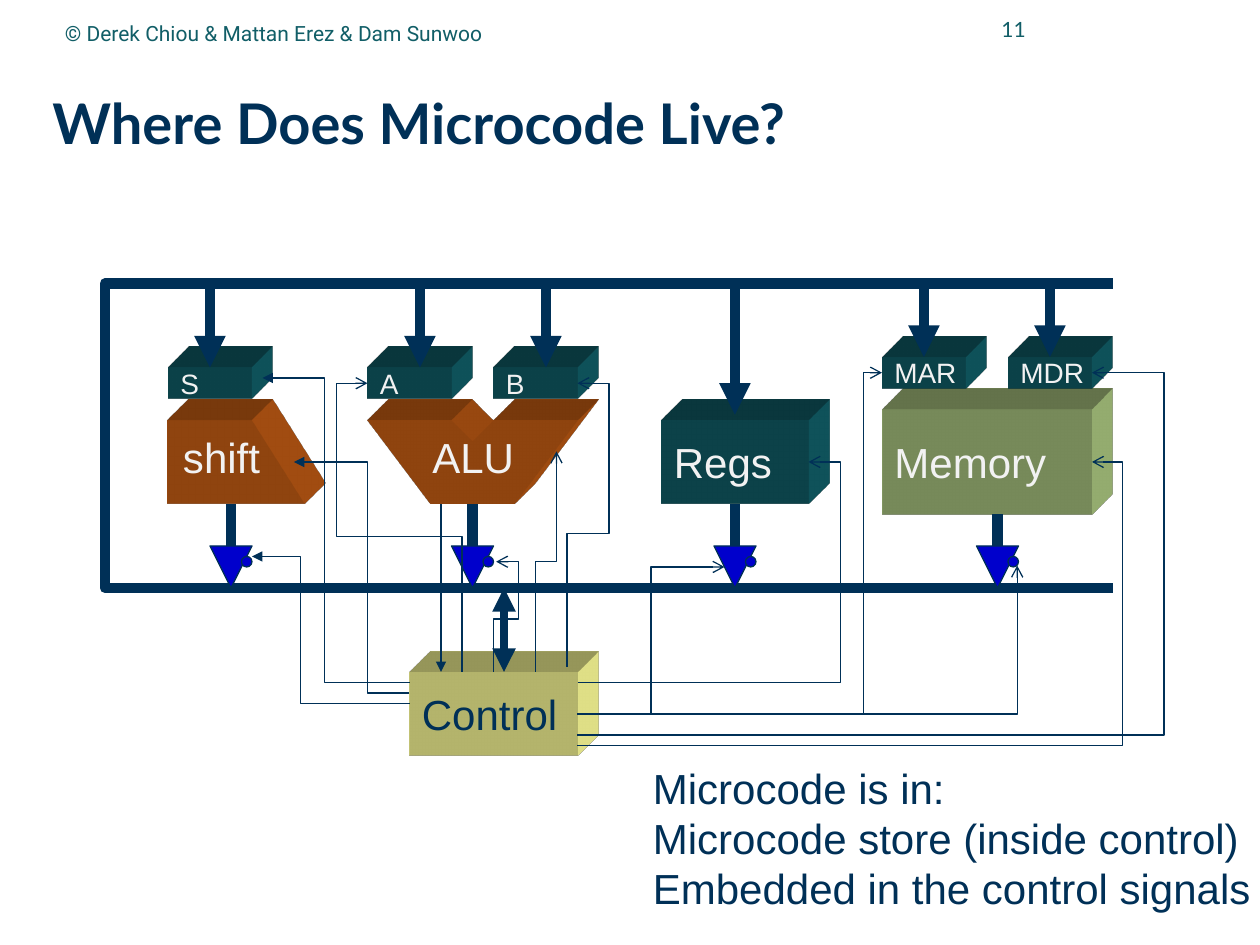
import math
from dataclasses import dataclass
from typing import Any

import pptx
import pptx.dml.color
import pptx.enum.shapes
import pptx.enum.text
import pptx.oxml
import pptx.oxml.ns
import pptx.util

RGB = pptx.dml.color.RGBColor
SHAPES = pptx.enum.shapes.MSO_SHAPE
CONNECTORS = pptx.enum.shapes.MSO_CONNECTOR
ANCHOR = pptx.enum.text.MSO_ANCHOR
ALIGN = pptx.enum.text.PP_ALIGN

NAVY = RGB(0x00, 0x30, 0x57)
TEAL = RGB(0x11, 0x5E, 0x67)
ORANGE = RGB(0xCB, 0x60, 0x15)
GREEN = RGB(0xA9, 0xC4, 0x7F)
YELLOW = RGB(0xFF, 0xFF, 0x99)
PALE = RGB(0xF2, 0xF2, 0xF2)
BLUE = RGB(0x00, 0x00, 0xCC)
PX = 9525
DEPTH = 45

Point = tuple[int, int]
Box = tuple[int, int, int, int]


@dataclass
class Block:
    label: str
    box: Box
    fill: RGB
    size: int = 24
    color: RGB = PALE


@dataclass
class Unit:
    label: str
    outline: list[Point]
    label_box: Box
    latches: list[Block]


@dataclass
class Signal:
    start: Point
    end: Point
    bends: tuple[float, ...] = ()
    turn: int = 0


def latch(label: str, left: int, top: int) -> Block:
    return Block(label, (left, top, 64, 24), TEAL, 16)


BLOCKS = [
    Block("Regs", (504, 320, 112, 64), TEAL),
    Block("Memory", (672, 312, 160, 80), GREEN),
    latch("MAR", 672, 272),
    latch("MDR", 768, 272),
]
UNITS = [
    Unit("shift", [(128, 320), (128, 384), (232, 384), (192, 320)],
         (130, 324, 78, 48), [latch("S", 128, 280)]),
    Unit("ALU", [(360, 336), (344, 320), (280, 320), (328, 384), (392, 384),
                 (440, 320), (376, 320)],
         (320, 324, 82, 48), [latch("A", 280, 280), latch("B", 376, 280)]),
]
CONTROL_BLOCK = Block("Control", (312, 512, 128, 64), YELLOW, color=NAVY)

BUS_TOP, BUS_BOTTOM = 216, 448
BUS = [(848, BUS_TOP), (80, BUS_TOP), (80, BUS_BOTTOM), (848, BUS_BOTTOM)]
BUS_READS = [(800, 272), (704, 272), (416, 280), (320, 280), (160, 280), (560, 316)]
BUS_DRIVERS = [(176, 384), (760, 392), (360, 384), (560, 384)]

LEFT_SIGNALS = [
    [(312, 528), (280, 528), (280, 352), (224, 352)],
    [(312, 536), (229, 536), (229, 424), (192, 424)],
    [(312, 520), (247, 520), (247, 288), (200, 288)],
]
SIGNALS = [
    Signal((376, 512), (378, 428), (0.48, 9.5), 90),
    Signal((408, 512), (424, 344), (0.5,), 90),
    Signal((432, 508), (440, 292), (0.47, 4), 90),
    Signal((352, 512), (280, 292), (0.47, 1.33), 270),
    Signal((440, 520), (616, 352), (1.14,)),
    Signal((440, 568), (832, 352), (1.06,)),
    Signal((440, 544), (672, 284), (0.94,)),
    Signal((440, 560), (832, 284), (1.14,)),
    Signal((440, 544), (552, 432), (0.5,)),
    Signal((440, 544), (775, 431)),
]


def write(frame: Any, text: str, *, size: int, color: RGB, font: str = "Arial",
          bold: bool = False, align: Any = ALIGN.LEFT, anchor: Any = ANCHOR.MIDDLE,
          wrap: bool = False, inset: bool = True, spacing: float | None = None) -> None:
    frame.word_wrap = wrap
    frame.vertical_anchor = anchor
    if not inset:
        frame.margin_left = frame.margin_right = frame.margin_top = frame.margin_bottom = 0
    frame.text = text
    for paragraph in frame.paragraphs:
        paragraph.alignment = align
        paragraph.line_spacing = spacing
        for run in paragraph.runs:
            run.font.name = font
            run.font.size = pptx.util.Pt(size)
            run.font.bold = bold
            run.font.color.rgb = color


def text_box(slide: Any, box: Box, text: str, **style: Any) -> None:
    frame = slide.shapes.add_textbox(*(PX * n for n in box)).text_frame
    write(frame, text, **style)


def add_element(parent: Any, tag: str, **attributes: str) -> Any:
    uri = pptx.oxml.ns.nsuri("a")
    child = pptx.oxml.parse_xml(f'<a:{tag} xmlns:a="{uri}"/>')
    for name, value in attributes.items():
        child.set(name, value)
    parent.append(child)
    return child


def stroke(item: Any, width: float, head: str = "", tail: str = "") -> None:
    item.line.width = pptx.util.Pt(width)
    item.line.color.rgb = NAVY
    outline = item.line._get_or_add_ln()
    add_element(outline, "round")
    for tag, kind in (("headEnd", head), ("tailEnd", tail)):
        if kind:
            add_element(outline, tag, type=kind)


def extrude(shape: Any, color: RGB) -> None:
    shape.fill.solid()
    shape.fill.fore_color.rgb = color
    shape.line.fill.background()
    properties = shape._element.spPr
    scene = add_element(properties, "scene3d")
    add_element(scene, "camera", prst="legacyObliqueTopRight")
    add_element(scene, "lightRig", rig="legacyFlat3", dir="b")
    solid = add_element(properties, "sp3d", extrusionH=str(DEPTH * PX),
                        prstMaterial="legacyMatte")
    for bevel in ("bevelT", "bevelB"):
        add_element(solid, bevel, w="13500", h="13500", prst="angle")
    add_element(add_element(solid, "extrusionClr"), "srgbClr", val=str(color))


def outline_shape(slide: Any, points: list[Point], closed: bool) -> Any:
    builder = slide.shapes.build_freeform(*points[0], scale=PX)
    builder.add_line_segments(points[1:], close=closed)
    shape = builder.convert_to_shape()
    shape.shadow.inherit = False
    return shape


def polyline(slide: Any, points: list[Point], width: float, tail: str = "") -> None:
    route = outline_shape(slide, points, False)
    route.fill.background()
    stroke(route, width, tail=tail)


def preset(slide: Any, kind: Any, box: Box, color: RGB) -> Any:
    shape = slide.shapes.add_shape(kind, *(PX * n for n in box))
    shape.shadow.inherit = False
    shape.fill.solid()
    shape.fill.fore_color.rgb = color
    return shape


def draw_block(slide: Any, block: Block) -> None:
    body = preset(slide, SHAPES.RECTANGLE, block.box, block.fill)
    extrude(body, block.fill)
    write(body.text_frame, block.label, size=block.size, color=block.color)


def draw_unit(slide: Any, unit: Unit) -> None:
    extrude(outline_shape(slide, unit.outline, True), ORANGE)
    for register in unit.latches:
        draw_block(slide, register)
    text_box(slide, unit.label_box, unit.label, size=24, color=PALE, anchor=ANCHOR.TOP)


def connect(slide: Any, kind: Any, start: Point, end: Point, width: float,
            head: str = "", tail: str = "triangle") -> Any:
    connector = slide.shapes.add_connector(kind, *(PX * n for n in (*start, *end)))
    stroke(connector, width, head, tail)
    add_element(connector._element.spPr, "effectLst")
    return connector


def draw_signal(slide: Any, signal: Signal) -> None:
    (x1, y1), (x2, y2) = signal.start, signal.end
    cx, cy = (x1 + x2) / 2, (y1 + y2) / 2
    cos = round(math.cos(math.radians(signal.turn)))
    sin = round(math.sin(math.radians(signal.turn)))
    start, end = [
        (round(cx + (x - cx) * cos + (y - cy) * sin), round(cy - (x - cx) * sin + (y - cy) * cos))
        for x, y in (signal.start, signal.end)
    ]
    properties = connect(slide, CONNECTORS.ELBOW, start, end, 0.75, tail="arrow")._element.spPr
    if signal.turn:
        properties.find(pptx.oxml.ns.qn("a:xfrm")).set("rot", str(signal.turn * 60000))
    geometry = properties.find(pptx.oxml.ns.qn("a:prstGeom"))
    geometry.set("prst", f"bentConnector{len(signal.bends) + 2}")
    guides = geometry.find(pptx.oxml.ns.qn("a:avLst"))
    for number, bend in enumerate(signal.bends, 1):
        add_element(guides, "gd", name=f"adj{number}", fmla=f"val {round(bend * 100000)}")


def draw_driver(slide: Any, center: int) -> None:
    buffer = preset(slide, SHAPES.ISOSCELES_TRIANGLE, (center - 16, 416, 32, 32), BLUE)
    buffer._element.spPr.find(pptx.oxml.ns.qn("a:xfrm")).set("flipV", "1")
    stroke(buffer, 0.75)
    stroke(preset(slide, SHAPES.OVAL, (center + 8, 424, 8, 8), BLUE), 0.75)


def main() -> None:
    deck = pptx.Presentation()
    deck.slide_width, deck.slide_height = 960 * PX, 720 * PX
    slide = deck.slides.add_slide(deck.slide_layouts[6])
    text_box(slide, (40, 48, 903, 94), "Where Does Microcode Live?", size=32, color=NAVY,
             font="Lato", bold=True, wrap=True, inset=False, spacing=0.99)
    text_box(slide, (704, -2, 87, 48), "11", size=12, color=TEAL, font="Lato",
             align=ALIGN.RIGHT, wrap=True)
    text_box(slide, (40, 3, 544, 44), "© Derek Chiou & Mattan Erez & Dam Sunwoo",
             size=12, color=TEAL, font="Roboto", wrap=True)
    for block in BLOCKS:
        draw_block(slide, block)
    for unit in UNITS:
        draw_unit(slide, unit)
    polyline(slide, BUS, 6)
    for x, bottom in BUS_READS:
        connect(slide, CONNECTORS.STRAIGHT, (x, BUS_TOP), (x, bottom), 6)
    for x, top in BUS_DRIVERS:
        connect(slide, CONNECTORS.STRAIGHT, (x, top), (x, BUS_BOTTOM), 6)
        draw_driver(slide, x)
    draw_block(slide, CONTROL_BLOCK)
    connect(slide, CONNECTORS.STRAIGHT, (336, 384), (336, 512), 0.75)
    connect(slide, CONNECTORS.STRAIGHT, (384, 512), (384, BUS_BOTTOM), 4.5, head="triangle")
    for route in LEFT_SIGNALS:
        polyline(slide, route, 0.75, tail="triangle")
    text_box(slide, (488, 576, 480, 126),
             "Microcode is in:\vMicrocode store (inside control)\nEmbedded in the control signals",
             size=24, color=NAVY, anchor=ANCHOR.TOP)
    for signal in SIGNALS:
        draw_signal(slide, signal)
    deck.save("out.pptx")


if __name__ == "__main__":
    main()
